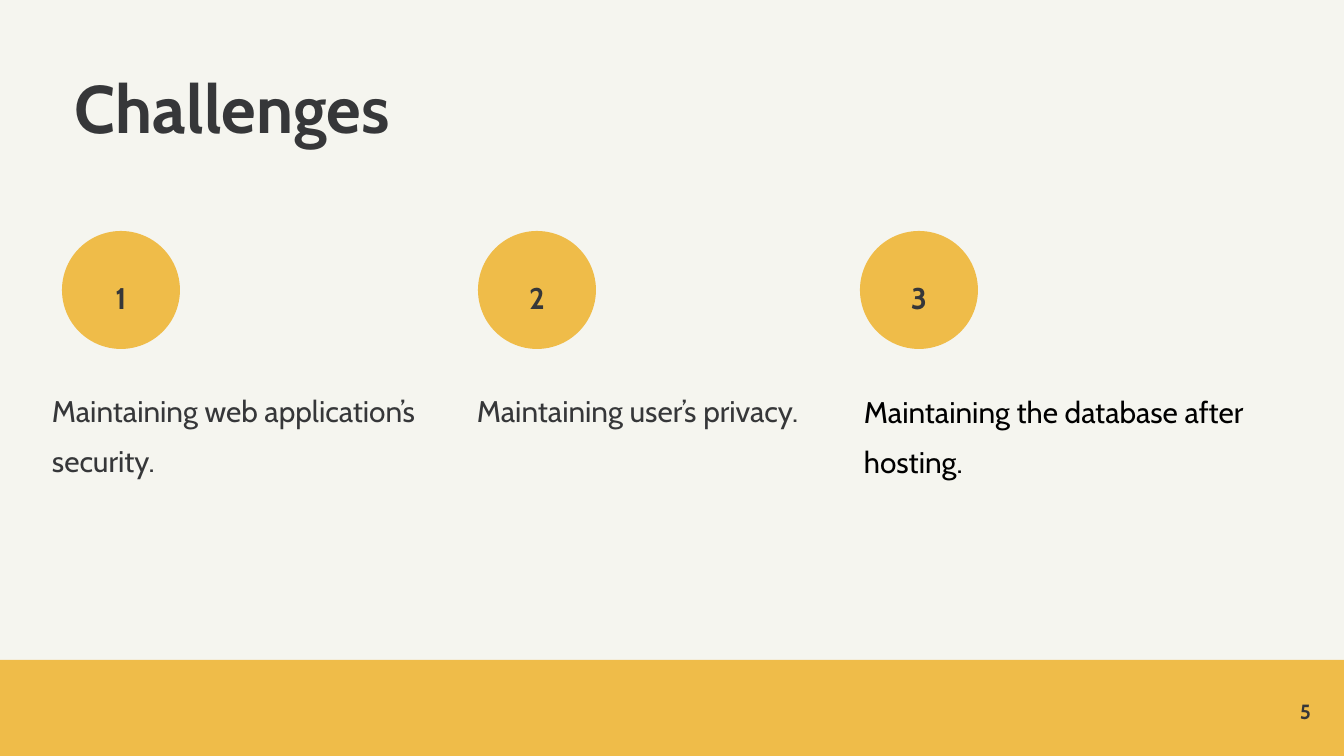
import pptx
import pptx.util
import pptx.dml.color
import pptx.enum.shapes
import pptx.enum.text

ALIGN = pptx.enum.text.PP_ALIGN
ANCHOR = pptx.enum.text.MSO_ANCHOR
SHAPE = pptx.enum.shapes.MSO_SHAPE

W, H = 1344, 756
INK, GOLD, PAPER, BLACK = "363739", "EFBC49", "F5F5EF", "000000"

TITLE = "Challenges"
PAGE = "5"
# number, circle left, text, text box (left, top, width, height), inset (x, y), colour
CHALLENGES = [
    ("1", 62, "Maintaining web application’s security.", (52, 378, 465, 206), (0, 0), INK),
    ("2", 478, "Maintaining user’s privacy.", (477, 378, 465, 206), (0, 0), INK),
    ("3", 860, "Maintaining the database after hosting.", (851, 372, 465, 109), (13, 7), BLACK),
]
CIRCLE_TOP, CIRCLE = 231, 118
NUMBER_TOP, NUMBER_W, NUMBER_H = 271, 56, 36
BAND_TOP = 660


def px(n):
    return pptx.util.Emu(round(n * 914400 / 134.4))


def rgb(value):
    return pptx.dml.color.RGBColor.from_string(value)


def place(shape, box):
    shape.left, shape.top, shape.width, shape.height = map(px, box)


def write(shape, text, size=16, color=INK, bold=False, align=ALIGN.LEFT,
          spacing=1.0, anchor=ANCHOR.TOP, inset=(0, 0)):
    tf = shape.text_frame
    tf.word_wrap = True
    tf.auto_size = pptx.enum.text.MSO_AUTO_SIZE.NONE
    tf.vertical_anchor = anchor
    tf.margin_left = tf.margin_right = px(inset[0])
    tf.margin_top = tf.margin_bottom = px(inset[1])
    p = tf.paragraphs[0]
    p.alignment, p.line_spacing = align, spacing
    p.space_before = pptx.util.Pt(0)
    r = p.add_run()
    r.text = text
    r.font.name, r.font.size, r.font.bold = "Cabin", pptx.util.Pt(size), bold
    r.font.color.rgb = rgb(color)


def add_text(s, box, text, **style):
    write(s.shapes.add_textbox(*map(px, box)), text, **style)


def add_filled(s, kind, box, color):
    sp = s.shapes.add_shape(kind, *map(px, box))
    sp.shadow.inherit = False
    sp.fill.solid()
    sp.fill.fore_color.rgb = rgb(color)
    sp.line.fill.background()


def main():
    prs = pptx.Presentation()
    prs.slide_width, prs.slide_height = px(W), px(H)
    s = prs.slides.add_slide(prs.slide_layouts[5])
    s.background.fill.solid()
    s.background.fill.fore_color.rgb = rgb(PAPER)

    place(s.shapes.title, (75, 75, 953, 106))
    write(s.shapes.title, TITLE, size=36, bold=True, spacing=0.9)

    for number, left, text, box, inset, color in CHALLENGES:
        add_filled(s, SHAPE.OVAL, (left, CIRCLE_TOP, CIRCLE, CIRCLE), GOLD)
        number_left = left + (CIRCLE - NUMBER_W) / 2
        add_text(s, (number_left, NUMBER_TOP, NUMBER_W, NUMBER_H), number,
                 bold=True, align=ALIGN.CENTER, spacing=1.25)
        add_text(s, box, text, color=color, spacing=1.4, inset=inset)

    add_filled(s, SHAPE.RECTANGLE, (0, BAND_TOP, W, H - BAND_TOP), GOLD)
    add_text(s, (1231, 698, 80, 27), PAGE, size=11, bold=True,
             align=ALIGN.RIGHT, anchor=ANCHOR.MIDDLE)
    prs.save("out.pptx")


if __name__ == "__main__":
    main()
